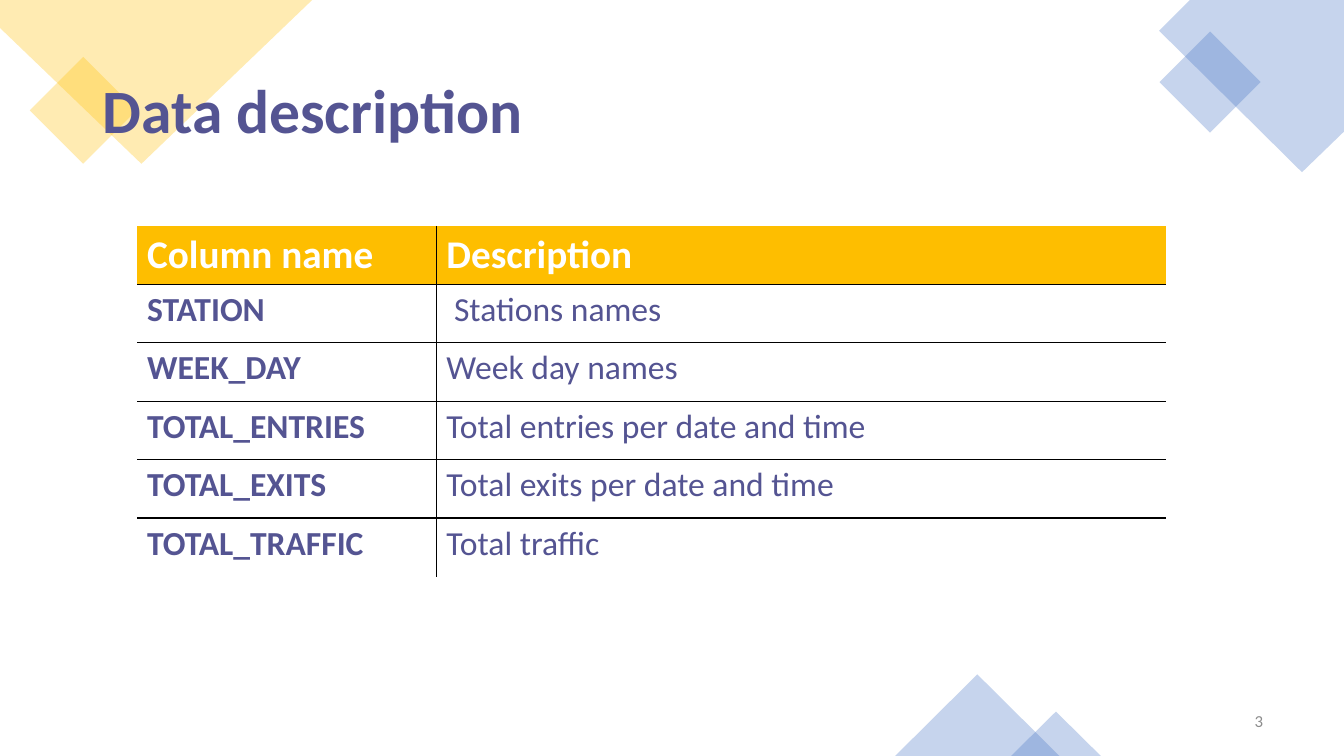
from dataclasses import dataclass

from lxml.etree import SubElement
from pptx import Presentation
from pptx.dml.color import RGBColor
from pptx.enum.shapes import MSO_SHAPE
from pptx.enum.text import MSO_ANCHOR, MSO_AUTO_SIZE, PP_ALIGN
from pptx.oxml import parse_xml
from pptx.oxml.ns import nsdecls, qn
from pptx.util import Pt


@dataclass(frozen=True)
class Theme:
    font: str = "Calibri"
    ink: str = "545492"
    gold: str = "FFC000"
    blue: str = "4472C4"
    head: str = "FEBE00"
    white: str = "FFFFFF"
    gray: str = "8C8C8C"
    line: str = "000000"
    opacity: int = 30
    title: int = 44
    label: int = 28
    body: int = 24
    small: int = 12


@dataclass(frozen=True)
class Preset:
    kind: MSO_SHAPE
    left: float
    top: float
    width: float
    height: float
    color: str
    turn: int = 0


@dataclass(frozen=True)
class Outline:
    points: tuple[tuple[float, float], ...]
    color: str


THEME = Theme()

DECOR = (
    Preset(MSO_SHAPE.RECTANGLE, 32.4, 51.8, 54, 54, THEME.gold, 45),
    Outline(((0, 0), (223.2, 0), (100.8, 116.6), (0, 20.2)), THEME.gold),
    Outline(((850.3, 0), (960, 0), (960, 93.6), (930.2, 123.1), (828, 21.6)), THEME.blue),
    Preset(MSO_SHAPE.RECTANGLE, 838.8, 33.1, 51.1, 51.1, THEME.blue, 45),
    Preset(MSO_SHAPE.ISOSCELES_TRIANGLE, 639.4, 481.7, 117.4, 58.3, THEME.blue),
    Preset(MSO_SHAPE.ISOSCELES_TRIANGLE, 722.2, 508.3, 64.1, 31.7, THEME.blue),
)

ROWS = (
    ("Column name", "Description"),
    ("STATION", " Stations names"),
    ("WEEK_DAY", "Week day names"),
    ("TOTAL_ENTRIES", "Total entries per date and time"),
    ("TOTAL_EXITS", "Total exits per date and time"),
    ("TOTAL_TRAFFIC", "Total traffic"),
)
COLS = (213.8, 521.3)
ROW_H = 41.76


def write(frame, text: str, *, size: int, color: str, bold: bool = False,
          align=PP_ALIGN.LEFT, spacing: float = 1) -> None:
    par = frame.paragraphs[0]
    par.alignment = align
    par.line_spacing = spacing
    run = par.add_run()
    run.text = text
    run.font.name = THEME.font
    run.font.size = Pt(size)
    run.font.bold = bold
    run.font.color.rgb = RGBColor.from_string(color)


def draw(shapes, item: Preset | Outline) -> None:
    """Add one translucent corner shape."""
    if isinstance(item, Preset):
        box = map(Pt, (item.left, item.top, item.width, item.height))
        shape = shapes.add_shape(item.kind, *box)
        shape.rotation = item.turn
    else:
        pen = shapes.build_freeform(*item.points[0], scale=Pt(1))
        pen.add_line_segments(item.points[1:], close=True)
        shape = pen.convert_to_shape()
    shape.shadow.inherit = False
    shape.line.fill.background()
    shape.fill.solid()
    shape.fill.fore_color.rgb = RGBColor.from_string(item.color)
    color = shape.element.spPr.find(qn("a:solidFill"))[0]
    SubElement(color, qn("a:alpha")).set("val", str(THEME.opacity * 1000))


def rule(cell, sides: dict[str, bool]) -> None:
    """Set the cell's borders: a line where the side is true, none elsewhere."""
    props = cell._tc.get_or_add_tcPr()
    for spot, (side, shown) in enumerate(sides.items()):
        fill = (f'<a:solidFill><a:srgbClr val="{THEME.line}"/></a:solidFill>'
                if shown else "<a:noFill/>")
        props.insert(spot, parse_xml(
            f'<a:ln{side} {nsdecls("a")} w="{Pt(1)}">{fill}</a:ln{side}>'))


def add_grid(shapes) -> None:
    table = shapes.add_table(len(ROWS), len(COLS), Pt(97.9), Pt(161.3),
                             Pt(sum(COLS)), Pt(ROW_H * len(ROWS))).table
    table.horz_banding = False
    for col, width in zip(table.columns, COLS):
        col.width = Pt(width)
    for i, texts in enumerate(ROWS):
        table.rows[i].height = Pt(ROW_H)
        top = i == 0
        for j, text in enumerate(texts):
            cell = table.cell(i, j)
            cell.fill.solid()
            cell.fill.fore_color.rgb = RGBColor.from_string(
                THEME.head if top else THEME.white)
            write(cell.text_frame, text, bold=top or j == 0,
                  size=THEME.label if top else THEME.body,
                  color=THEME.white if top else THEME.ink)
            rule(cell, {"L": j > 0, "R": j < len(COLS) - 1,
                        "T": i > 0, "B": i < len(ROWS) - 1})


def add_number(shapes) -> None:
    frame = shapes.add_textbox(Pt(693.4), Pt(500.4), Pt(216), Pt(28.8)).text_frame
    frame.word_wrap = True
    frame.vertical_anchor = MSO_ANCHOR.MIDDLE
    write(frame, "3", size=THEME.small, color=THEME.gray, align=PP_ALIGN.RIGHT)
    frame.paragraphs[0].space_after = Pt(6)


def set_title(title) -> None:
    """Fill the title and bring it in front of the corner shapes."""
    title.left, title.top, title.width, title.height = map(Pt, (66.2, 28.8, 828, 104.4))
    frame = title.text_frame
    frame.auto_size = MSO_AUTO_SIZE.NONE
    frame.vertical_anchor = MSO_ANCHOR.MIDDLE
    write(frame, "Data description", size=THEME.title, color=THEME.ink,
          bold=True, spacing=0.9)
    title.element.getparent().append(title.element)


def main() -> None:
    deck = Presentation()
    deck.slide_width, deck.slide_height = Pt(960), Pt(540)
    slide = deck.slides.add_slide(deck.slide_layouts.get_by_name("Title Only"))
    for item in DECOR:
        draw(slide.shapes, item)
    add_number(slide.shapes)
    add_grid(slide.shapes)
    set_title(slide.shapes.title)
    deck.save("out.pptx")


if __name__ == "__main__":
    main()
